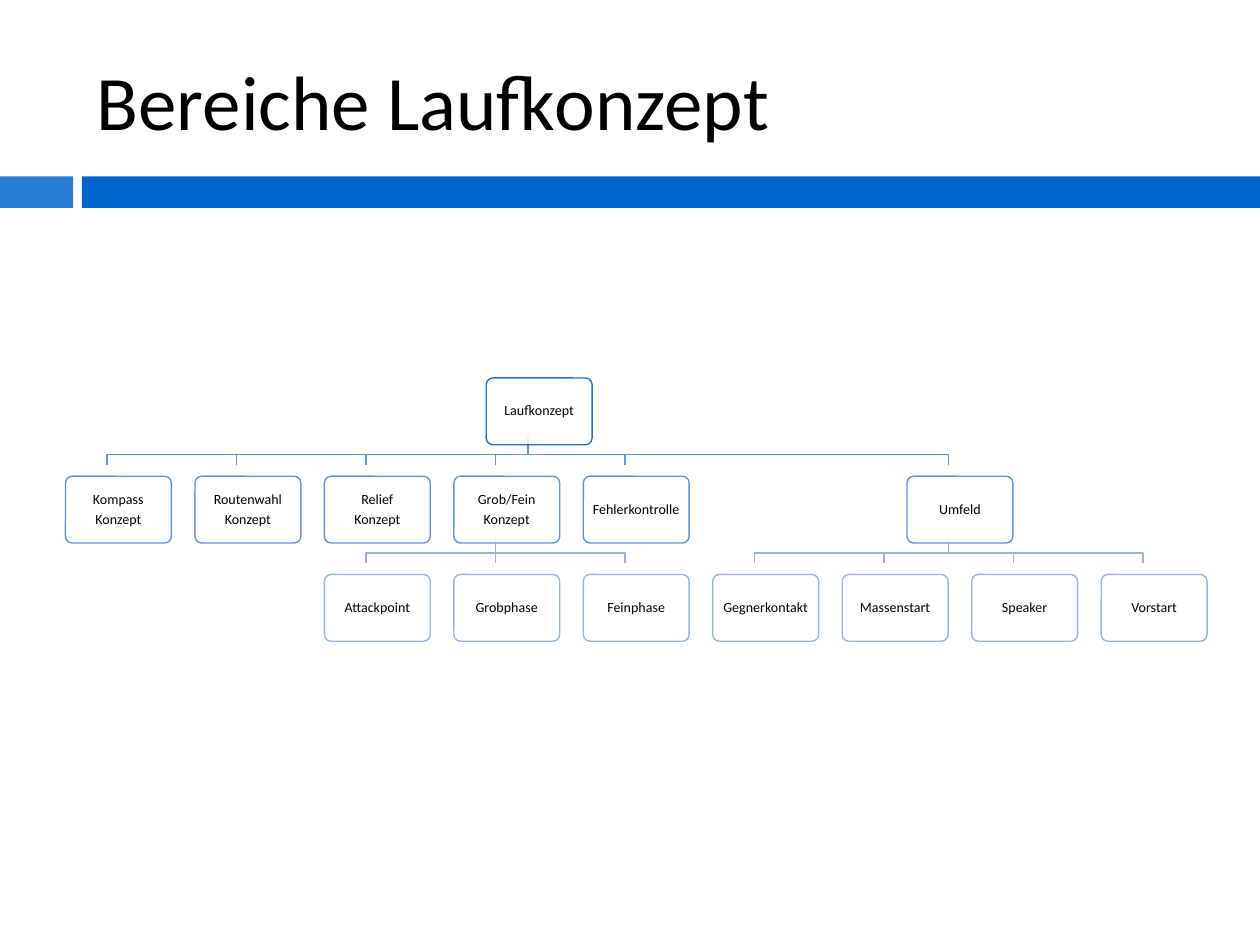
from pptx import Presentation
from pptx.dml.color import RGBColor
from pptx.enum.shapes import MSO_SHAPE
from pptx.enum.text import MSO_ANCHOR, PP_ALIGN
from pptx.oxml.ns import qn
from pptx.util import Inches, Pt
from lxml.etree import SubElement

BLACK = RGBColor(0x00, 0x00, 0x00)
WHITE = RGBColor(0xFF, 0xFF, 0xFF)
BAR = RGBColor(0x00, 0x66, 0xCC)
BAR_LIGHT = RGBColor(0x29, 0x7F, 0xD5)
LEVEL_COLORS = [
    RGBColor(0x25, 0x73, 0xC1),
    RGBColor(0x63, 0x93, 0xDA),
    RGBColor(0x99, 0xB3, 0xE3),
]
FONT = "Calibri"
LINE_WIDTH = Pt(0.79)

CHART_LEFT, CHART_RIGHT, CHART_TOP = 0.52, 9.58, 3.0
BOX_W, BOX_H, ROW_PITCH = 0.84, 0.53, 0.78
COLUMN_PITCH = (CHART_RIGHT - CHART_LEFT - BOX_W) / 8
STEM_X, STEM_Y, BRANCH_Y, END_Y = 0.33, 0.45, 0.61, 0.69

TREE = (3.25, ["Laufkonzept"], [
    (0, ["Kompass", "Konzept"], []),
    (1, ["Routenwahl", "Konzept"], []),
    (2, ["Relief", "Konzept"], []),
    (3, ["Grob/Fein", "Konzept"], [
        (2, ["Attackpoint"], []),
        (3, ["Grobphase"], []),
        (4, ["Feinphase"], []),
    ]),
    (4, ["Fehlerkontrolle"], []),
    (6.5, ["Umfeld"], [
        (5, ["Gegnerkontakt"], []),
        (6, ["Massenstart"], []),
        (7, ["Speaker"], []),
        (8, ["Vorstart"], []),
    ]),
])


def column_left(column):
    """Return the left edge of a chart column in inches."""
    return CHART_LEFT + column * COLUMN_PITCH


def row_top(level):
    """Return the top edge of a chart level in inches."""
    return CHART_TOP + level * ROW_PITCH


def add_text(p, text, size):
    """Add one black run to a paragraph."""
    r = p.add_run()
    r.text = text
    r.font.name = FONT
    r.font.size = Pt(size)
    r.font.color.rgb = BLACK


def add_bar(slide, left, width, color):
    """Add one part of the bar below the title."""
    sp = slide.shapes.add_shape(
        MSO_SHAPE.RECTANGLE, Inches(left), Inches(1.4), Inches(width), Inches(0.25))
    sp.shadow.inherit = False
    sp.fill.solid()
    sp.fill.fore_color.rgb = color
    sp.line.fill.background()


def add_title(slide, text):
    """Add the slide title."""
    tf = slide.shapes.add_textbox(
        Inches(0.67), Inches(0.25), Inches(8.92), Inches(1.08)).text_frame
    tf.word_wrap = True
    tf.vertical_anchor = MSO_ANCHOR.MIDDLE
    add_text(tf.paragraphs[0], text, 44)


def add_branch(slide, parent, child, level):
    """Add the elbow line from a parent column down to a child column."""
    top = row_top(level)
    x1, x2 = (Inches(column_left(c) + STEM_X) for c in (parent, child))
    y1, y2, y3 = (Inches(top + y) for y in (STEM_Y, BRANCH_Y, END_Y))
    builder = slide.shapes.build_freeform(x1, y1)
    builder.add_line_segments([(x1, y2), (x2, y2), (x2, y3)], close=False)
    sp = builder.convert_to_shape()
    sp.shadow.inherit = False
    sp.fill.background()
    sp.line.color.rgb = LEVEL_COLORS[level + 1]
    sp.line.width = LINE_WIDTH


def add_box(slide, column, level, lines):
    """Add a rounded box with one paragraph per line."""
    sp = slide.shapes.add_shape(
        MSO_SHAPE.ROUNDED_RECTANGLE, Inches(column_left(column)),
        Inches(row_top(level)), Inches(BOX_W), Inches(BOX_H))
    sp.adjustments[0] = 0.1
    sp.shadow.inherit = False
    sp.fill.solid()
    sp.fill.fore_color.rgb = WHITE
    color = sp.fill._xPr.find(qn("a:solidFill"))[0]
    SubElement(color, qn("a:alpha"), val="90000")
    sp.line.color.rgb = LEVEL_COLORS[level]
    sp.line.width = LINE_WIDTH
    tf = sp.text_frame
    tf.word_wrap = True
    tf.vertical_anchor = MSO_ANCHOR.MIDDLE
    tf.margin_left = tf.margin_right = Inches(0.04)
    tf.margin_top = tf.margin_bottom = Inches(0.04)
    for i, line in enumerate(lines):
        p = tf.add_paragraph() if i else tf.paragraphs[0]
        p.alignment = PP_ALIGN.CENTER
        p.line_spacing = 0.9
        p.space_after = Pt(2.8)
        add_text(p, line, 8)


def add_branches(slide, node, level=0):
    """Add all lines below a node."""
    column, _, children = node
    for child in children:
        add_branch(slide, column, child[0], level)
        add_branches(slide, child, level + 1)


def add_boxes(slide, node, level=0):
    """Add the box of a node and of all nodes below it."""
    column, lines, children = node
    add_box(slide, column, level, lines)
    for child in children:
        add_boxes(slide, child, level + 1)


def main():
    """Build the slide and save it."""
    prs = Presentation()
    prs.slide_width, prs.slide_height = Inches(10), Inches(7.5)
    slide = prs.slides.add_slide(prs.slide_layouts[6])
    add_bar(slide, 0, 0.58, BAR_LIGHT)
    add_bar(slide, 0.65, 9.35, BAR)
    add_title(slide, "Bereiche Laufkonzept")
    add_branches(slide, TREE)
    add_boxes(slide, TREE)
    prs.save("out.pptx")


if __name__ == "__main__":
    main()
